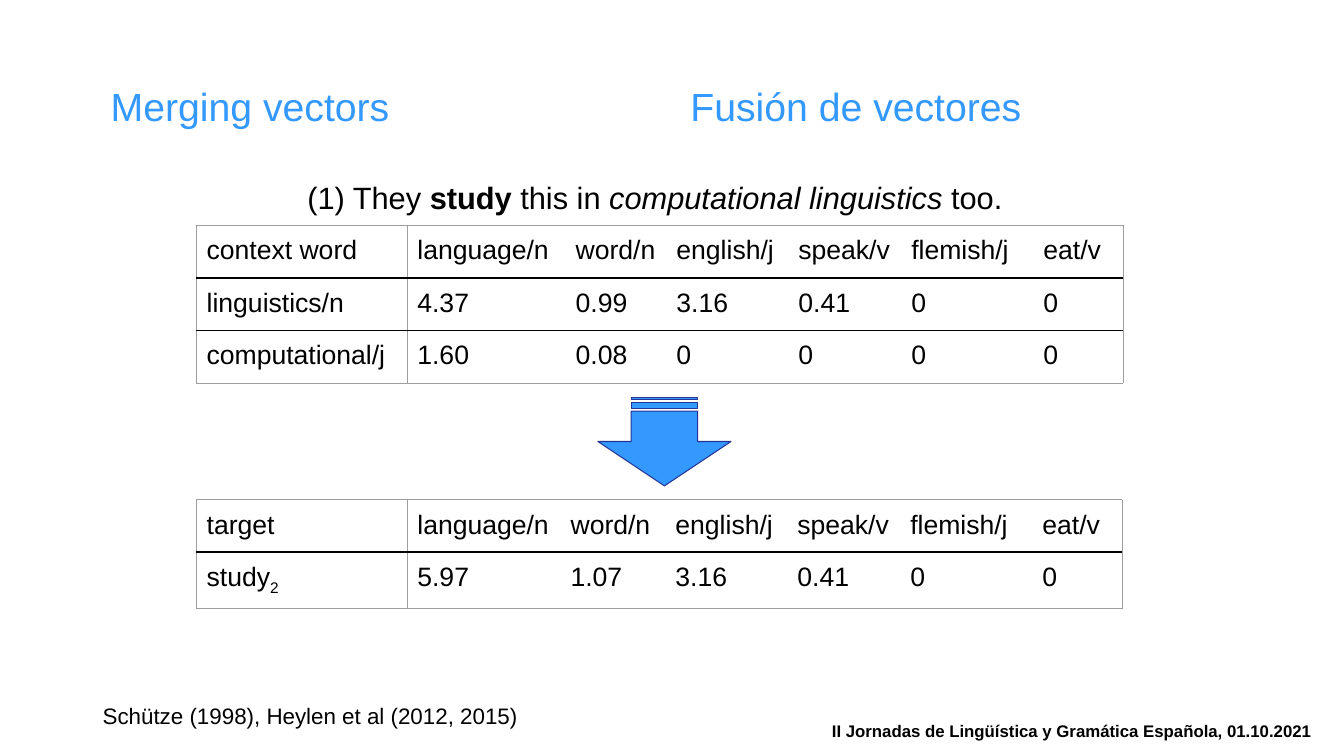
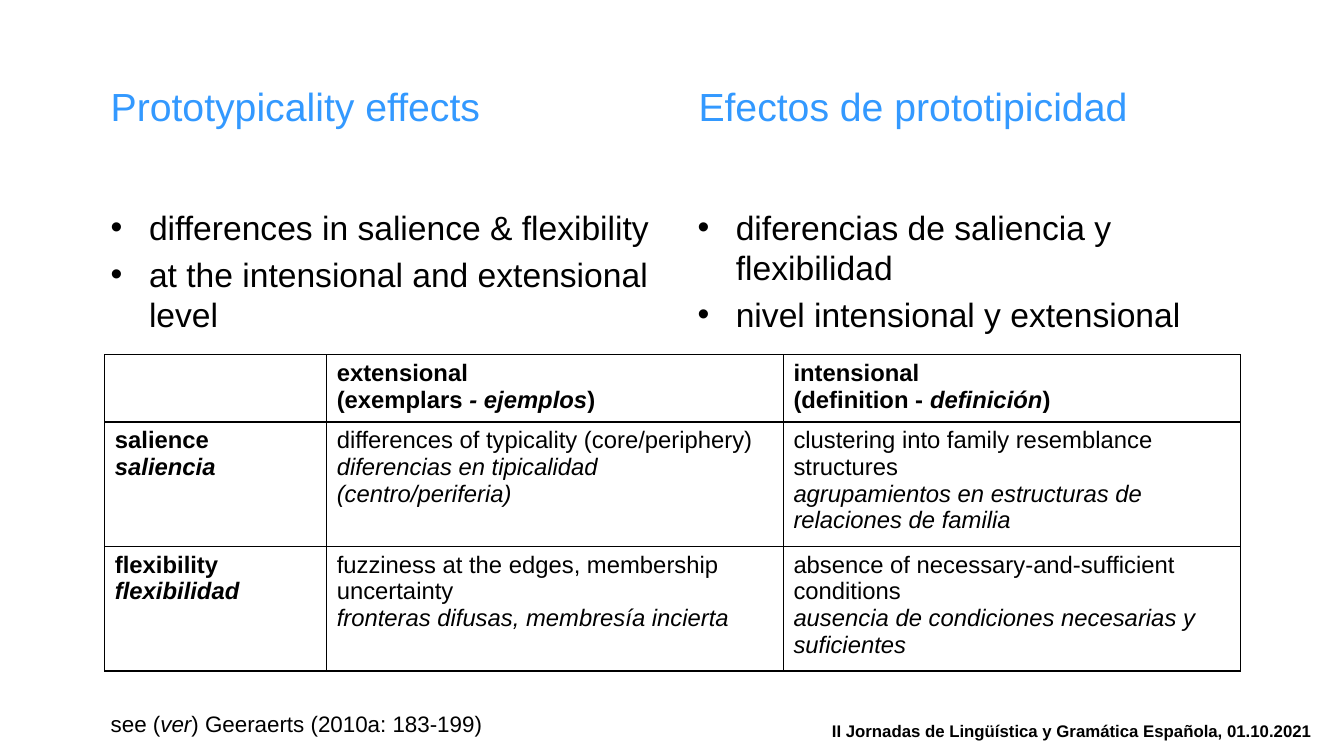
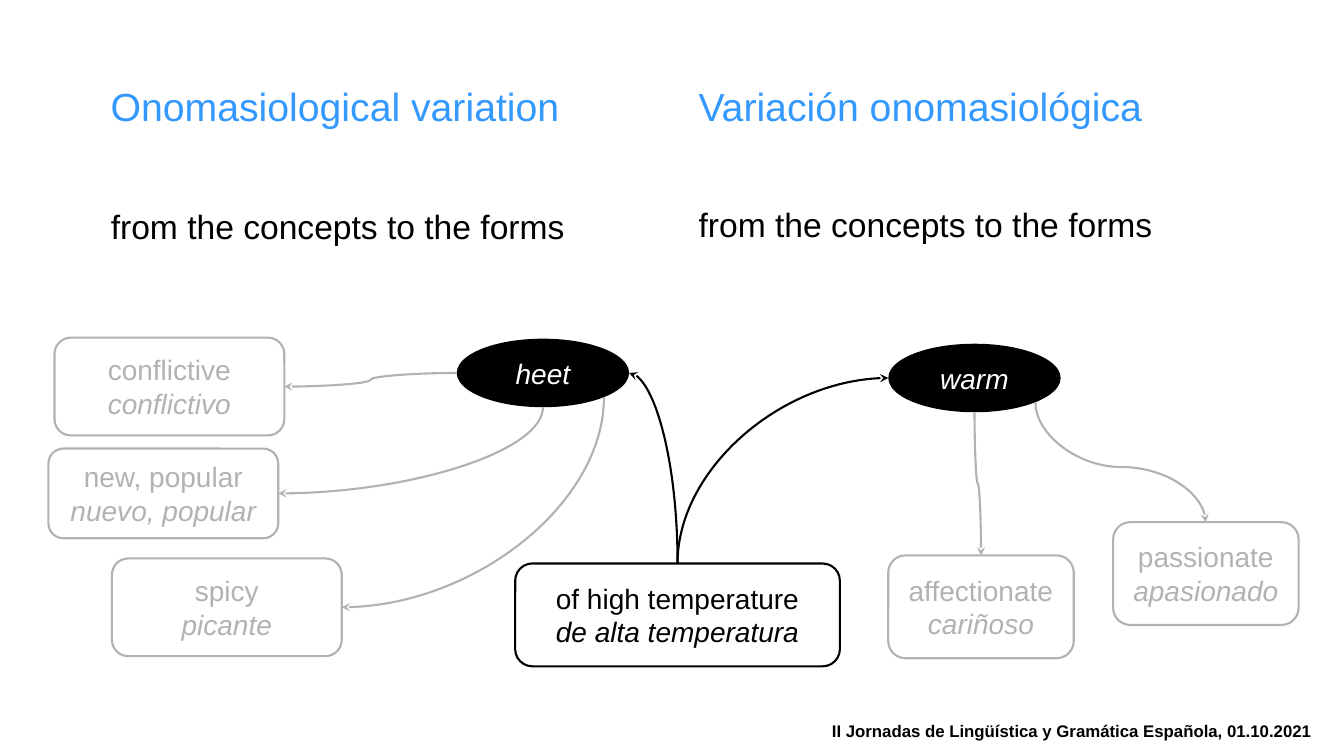
from dataclasses import dataclass
from typing import NamedTuple, Optional

from lxml.etree import SubElement
from pptx import Presentation
from pptx.dml.color import RGBColor
from pptx.enum.shapes import MSO_CONNECTOR, MSO_SHAPE
from pptx.enum.text import MSO_ANCHOR, PP_ALIGN
from pptx.oxml.ns import qn
from pptx.util import Inches, Pt

COLORS = {
    "title": "3399FF",
    "arrow_edge": "253494",
    "ink": "000000",
    "paper": "FFFFFF",
    "faded": "B2B2B2",
    "frame": "9E9E9E",
}
FONT = "Arial"
EVENT = "II Jornadas de Lingüística y Gramática Española, 01.10.2021"


class Run(NamedTuple):
    text: str
    bold: bool = False
    italic: bool = False
    subscript: bool = False


class Area(NamedTuple):
    left: float
    top: float
    width: float
    height: float

    def lengths(self) -> tuple:
        return tuple(Inches(value) for value in self)


class Edge(NamedTuple):
    color: str
    width: float


@dataclass
class TextStyle:
    size: float
    color: str = "ink"
    align: PP_ALIGN = PP_ALIGN.LEFT
    anchor: MSO_ANCHOR = MSO_ANCHOR.TOP
    line_spacing: Optional[float] = None
    space_before: float = 0
    bullet: bool = False
    margins: tuple = (0.1, 0.05)


@dataclass
class Node:
    lines: list
    area: Area
    color: str = "faded"
    is_form: bool = False


@dataclass
class Link:
    form: str
    form_site: int
    concept: str
    concept_site: int
    color: str = "faded"
    starts_down: bool = False
    bends: int = 2
    bend_at: float = 0.5
    arrow_end: str = "tailEnd"


TITLE = TextStyle(28, "title", anchor=MSO_ANCHOR.MIDDLE)
FOOTER = TextStyle(12, align=PP_ALIGN.RIGHT, anchor=MSO_ANCHOR.MIDDLE)
SOURCE = TextStyle(16)
BODY = TextStyle(24)
BULLETS = TextStyle(24, space_before=4.8, bullet=True)
EXAMPLE = TextStyle(22, line_spacing=1.15)
VECTOR_CELL = TextStyle(19, margins=(0.1, 0.1))
EFFECT_CELL = TextStyle(17)

FRAME = Edge("frame", 0.75)
RULE = Edge("ink", 1.5)
GRID = Edge("ink", 1)

ELLIPSE_SITES = {2: (0, 0.5), 4: (0.5, 1), 5: (0.854, 0.854), 6: (1, 0.5)}
BOX_SITES = {0: (0.5, 0), 3: (1, 0.5)}


def rgb(name: str) -> RGBColor:
    return RGBColor.from_string(COLORS[name])


def add_bullet(paragraph) -> None:
    props = paragraph._p.get_or_add_pPr()
    props.set("marL", str(Inches(0.38)))
    props.set("indent", str(-Inches(0.38)))
    color = SubElement(props, qn("a:buClr"))
    SubElement(color, qn("a:srgbClr"), val=COLORS["ink"])
    SubElement(props, qn("a:buFont"), typeface=FONT)
    SubElement(props, qn("a:buChar"), char="•")


def write(frame, paragraphs: list, style: TextStyle) -> None:
    for index, runs in enumerate(paragraphs):
        paragraph = frame.paragraphs[0] if index == 0 else frame.add_paragraph()
        if style.bullet:
            add_bullet(paragraph)
        paragraph.alignment = style.align
        if style.line_spacing:
            paragraph.line_spacing = style.line_spacing
        paragraph.space_before = Pt(style.space_before if index else 0)
        for part in runs:
            run = paragraph.add_run()
            run.text = part.text
            font = run.font
            font.name, font.size = FONT, Pt(style.size)
            font.bold, font.italic = part.bold, part.italic
            font.color.rgb = rgb(style.color)
            if part.subscript:
                run._r.get_or_add_rPr().set("baseline", "-25000")


def set_frame(target, style: TextStyle) -> None:
    across, down = (Inches(value) for value in style.margins)
    target.margin_left = target.margin_right = across
    target.margin_top = target.margin_bottom = down
    target.vertical_anchor = style.anchor


def add_text(slide, area: Area, paragraphs: list, style: TextStyle) -> None:
    frame = slide.shapes.add_textbox(*area.lengths()).text_frame
    frame.word_wrap = True
    set_frame(frame, style)
    write(frame, paragraphs, style)


def start_slide(deck, english: str, spanish: str, spanish_left: float = 6.83):
    slide = deck.slides.add_slide(deck.slide_layouts[6])
    for title, left in ((english, 1), (spanish, spanish_left)):
        add_text(slide, Area(left, 0.42, 5.67, 1.25), [[Run(title)]], TITLE)
    add_text(slide, Area(7.89, 7, 5.22, 0.5), [[Run(EVENT, bold=True)]], FOOTER)
    return slide


def set_borders(cell, edges: dict) -> None:
    props = cell._tc.get_or_add_tcPr()
    for position, side in enumerate(("lnL", "lnR", "lnT", "lnB")):
        edge = edges.get(side)
        line = props.makeelement(qn(f"a:{side}"), {})
        props.insert(position, line)
        if edge is None:
            SubElement(line, qn("a:noFill"))
            continue
        line.set("w", str(Pt(edge.width)))
        fill = SubElement(line, qn("a:solidFill"))
        SubElement(fill, qn("a:srgbClr"), val=COLORS[edge.color])


def add_grid(slide, left: float, top: float, columns: list, heights: list,
             rows: list, style: TextStyle, edges_at) -> None:
    area = Area(left, top, sum(columns), sum(heights))
    table = slide.shapes.add_table(len(rows), len(columns), *area.lengths()).table
    table.first_row = table.horz_banding = False
    for column, width in zip(table.columns, columns):
        column.width = Inches(width)
    for r, (height, contents) in enumerate(zip(heights, rows)):
        table.rows[r].height = Inches(height)
        for c, paragraphs in enumerate(contents):
            cell = table.cell(r, c)
            cell.fill.solid()
            cell.fill.fore_color.rgb = rgb("paper")
            set_frame(cell, style)
            write(cell.text_frame, paragraphs, style)
            set_borders(cell, edges_at(r, c))


def add_vectors(slide, top: float, columns: list, heights: list, rows: list) -> None:
    last_row, last_column = len(rows) - 1, len(columns) - 1

    def edges_at(r: int, c: int) -> dict:
        return {
            "lnL": FRAME if c < 2 else None,
            "lnR": FRAME if c in (0, last_column) else None,
            "lnT": RULE if r else FRAME,
            "lnB": RULE if r < last_row else FRAME,
        }

    cells = [[[label]] + [[[Run(value)]] for value in values.split()]
             for label, values in rows]
    add_grid(slide, 1.95, top, columns, heights, cells, VECTOR_CELL, edges_at)


def add_node(slide, node: Node):
    kind = MSO_SHAPE.OVAL if node.is_form else MSO_SHAPE.ROUNDED_RECTANGLE
    shape = slide.shapes.add_shape(kind, *node.area.lengths())
    shape.shadow.inherit = False
    if node.is_form:
        shape.fill.solid()
        shape.fill.fore_color.rgb = rgb(node.color)
        shape.line.fill.background()
    else:
        shape.adjustments[0] = 0.167
        shape.fill.background()
        shape.line.color.rgb = rgb(node.color)
        shape.line.width = Pt(1.5)
    style = TextStyle(20, "paper" if node.is_form else node.color,
                      PP_ALIGN.CENTER, MSO_ANCHOR.MIDDLE, margins=(0.1, 0.1))
    shape.text_frame.word_wrap = True
    set_frame(shape.text_frame, style)
    write(shape.text_frame, node.lines, style)
    return shape


def site_point(area: Area, fractions: tuple) -> tuple:
    across, down = fractions
    return area.left + area.width * across, area.top + area.height * down


def add_link(slide, link: Link, nodes: dict, shapes: dict) -> None:
    x1, y1 = site_point(nodes[link.form].area, ELLIPSE_SITES[link.form_site])
    x2, y2 = site_point(nodes[link.concept].area, BOX_SITES[link.concept_site])
    curve = slide.shapes.add_connector(
        MSO_CONNECTOR.CURVE, Inches(x1), Inches(y1), Inches(x2), Inches(y2))
    curve.line.color.rgb = rgb(link.color)
    curve.line.width = Pt(1.5)
    SubElement(curve.line._get_or_add_ln(), qn(f"a:{link.arrow_end}"), type="stealth")

    props = curve._element.spPr
    SubElement(props, qn("a:effectLst"))
    geometry = props.find(qn("a:prstGeom"))
    geometry.set("prst", f"curvedConnector{link.bends + 1 if link.bends > 1 else 2}")
    if link.bends > 1:
        guides = geometry.find(qn("a:avLst"))
        if guides is None:
            guides = SubElement(geometry, qn("a:avLst"))
        SubElement(guides, qn("a:gd"), name="adj1",
                   fmla=f"val {round(link.bend_at * 100000)}")
    if link.starts_down:
        width, height = abs(y2 - y1), abs(x2 - x1)
        curve.left = Inches((x1 + x2 - width) / 2)
        curve.top = Inches((y1 + y2 - height) / 2)
        curve.width, curve.height = Inches(width), Inches(height)
        turned = props.find(qn("a:xfrm"))
        turned.set("rot", str((270 if x2 > x1 else 90) * 60000))
        turned.set("flipH", "1" if x2 > x1 else "0")

    ends = curve._element.nvCxnSpPr.cNvCxnSpPr
    for tag, name, site in (("a:stCxn", link.form, link.form_site),
                            ("a:endCxn", link.concept, link.concept_site)):
        SubElement(ends, qn(tag), id=str(shapes[name].shape_id), idx=str(site))


def merging_slide(deck) -> None:
    slide = start_slide(deck, "Merging vectors", "Fusión de vectores", 6.75)
    add_text(slide, Area(2.95, 1.67, 7.56, 1.39), [[
        Run("(1) They "), Run("study ", bold=True), Run("this in "),
        Run("computational linguistics", italic=True), Run(" too."),
    ]], EXAMPLE)

    arrow = slide.shapes.add_shape(
        MSO_SHAPE.STRIPED_RIGHT_ARROW, *Area(6.15, 3.72, 0.88, 1.32).lengths())
    arrow.rotation = 90
    arrow.shadow.inherit = False
    arrow.fill.solid()
    arrow.fill.fore_color.rgb = rgb("title")
    arrow.line.color.rgb = rgb("arrow_edge")
    arrow.line.width = Pt(0.75)

    add_text(slide, Area(0.92, 6.92, 6.67, 0.37),
             [[Run("Schütze (1998), Heylen et al (2012, 2015)")]], SOURCE)
    features = "language/n word/n english/j speak/v flemish/j eat/v"
    add_vectors(slide, 2.24, [2.09, 1.57, 1, 1.21, 1.12, 1.31, 0.89], [0.52] * 3, [
        ([Run("context word")], features),
        ([Run("linguistics/n")], "4.37 0.99 3.16 0.41 0 0"),
        ([Run("computational/j")], "1.60 0.08 0 0 0 0"),
    ])
    add_vectors(slide, 4.96, [2.09, 1.52, 1.04, 1.21, 1.12, 1.31, 0.89], [0.52, 0.56], [
        ([Run("target")], features),
        ([Run("study"), Run("2", subscript=True)], "5.97 1.07 3.16 0.41 0 0"),
    ])


def bilingual(english: str, spanish: str, bold: bool = False) -> list:
    return [[Run(english, bold)], [Run(spanish, bold, italic=True)]]


def heading(term: str, opening: str, gloss: str) -> list:
    return [[Run(term, True)],
            [Run(opening, True), Run(gloss, True, True), Run(")", True)]]


def prototypicality_slide(deck) -> None:
    slide = start_slide(deck, "Prototypicality effects", "Efectos de prototipicidad")
    for left, points in (
        (1, ("differences in salience & flexibility",
             "at the intensional and extensional level")),
        (6.82, ("diferencias de saliencia y flexibilidad",
                "nivel intensional y extensional")),
    ):
        add_text(slide, Area(left, 2, 5.67, 1.31),
                 [[Run(point)] for point in points], BULLETS)

    effects = [
        [[], heading("extensional", "(exemplars ", "- ejemplos"),
         heading("intensional", "(definition - ", "definición")],
        [bilingual("salience", "saliencia", bold=True),
         bilingual("differences of typicality (core/periphery)",
                   "diferencias en tipicalidad (centro/periferia)"),
         bilingual("clustering into family resemblance structures",
                   "agrupamientos en estructuras de relaciones de familia")],
        [bilingual("flexibility", "flexibilidad", bold=True),
         bilingual("fuzziness at the edges, membership uncertainty",
                   "fronteras difusas, membresía incierta"),
         bilingual("absence of necessary-and-sufficient conditions",
                   "ausencia de condiciones necesarias y suficientes")],
    ]
    all_sides = dict.fromkeys(("lnL", "lnR", "lnT", "lnB"), GRID)
    add_grid(slide, 1.04, 3.52, [2.2, 4.53, 4.53], [0.63, 1.16, 1.16], effects,
             EFFECT_CELL, lambda r, c: all_sides)
    add_text(slide, Area(1, 7, 6.67, 0.37), [[
        Run("see ("), Run("ver", italic=True), Run(") Geeraerts (2010a: 183-199)"),
    ]], SOURCE)


def onomasiology_slide(deck) -> None:
    slide = start_slide(deck, "Onomasiological variation", "Variación onomasiológica")
    for area in (Area(1, 1.99, 4.88, 0.68), Area(6.83, 1.97, 5.22, 0.68)):
        add_text(slide, area, [[Run("from the concepts to the forms")]], BODY)

    nodes = {
        "heet": Node([[Run("heet", italic=True)]],
                     Area(4.53, 3.36, 1.71, 0.68), "ink", is_form=True),
        "warm": Node([[Run("warm", italic=True)]],
                     Area(8.81, 3.41, 1.71, 0.68), "ink", is_form=True),
        "conflict": Node(bilingual("conflictive", "conflictivo"),
                         Area(0.54, 3.35, 2.28, 0.97)),
        "new": Node(bilingual("new, popular", "nuevo, popular"),
                    Area(0.48, 4.45, 2.28, 0.89)),
        "spicy": Node(bilingual("spicy", "picante"), Area(1.11, 5.54, 2.28, 0.97)),
        "hot": Node(bilingual("of high temperature", "de alta temperatura"),
                    Area(5.11, 5.59, 3.22, 1.02), "ink"),
        "affection": Node(bilingual("affectionate", "cariñoso"),
                          Area(8.81, 5.51, 1.84, 1.02)),
        "passion": Node(bilingual("passionate", "apasionado"),
                        Area(11.04, 5.18, 1.84, 1.02)),
    }
    shapes = {name: add_node(slide, node) for name, node in nodes.items()}
    for link in (
        Link("heet", 2, "conflict", 3),
        Link("heet", 4, "new", 3, starts_down=True, bends=1),
        Link("heet", 5, "spicy", 3, starts_down=True, bends=1),
        Link("heet", 6, "hot", 0, "ink", bends=1, arrow_end="headEnd"),
        Link("warm", 2, "hot", 0, "ink", bends=1, arrow_end="headEnd"),
        Link("warm", 4, "affection", 0, starts_down=True),
        Link("warm", 5, "passion", 0, starts_down=True, bend_at=0.54),
    ):
        add_link(slide, link, nodes, shapes)


def main() -> None:
    deck = Presentation()
    deck.slide_width, deck.slide_height = Inches(13.33), Inches(7.5)
    merging_slide(deck)
    prototypicality_slide(deck)
    onomasiology_slide(deck)
    deck.save("out.pptx")


if __name__ == "__main__":
    main()
